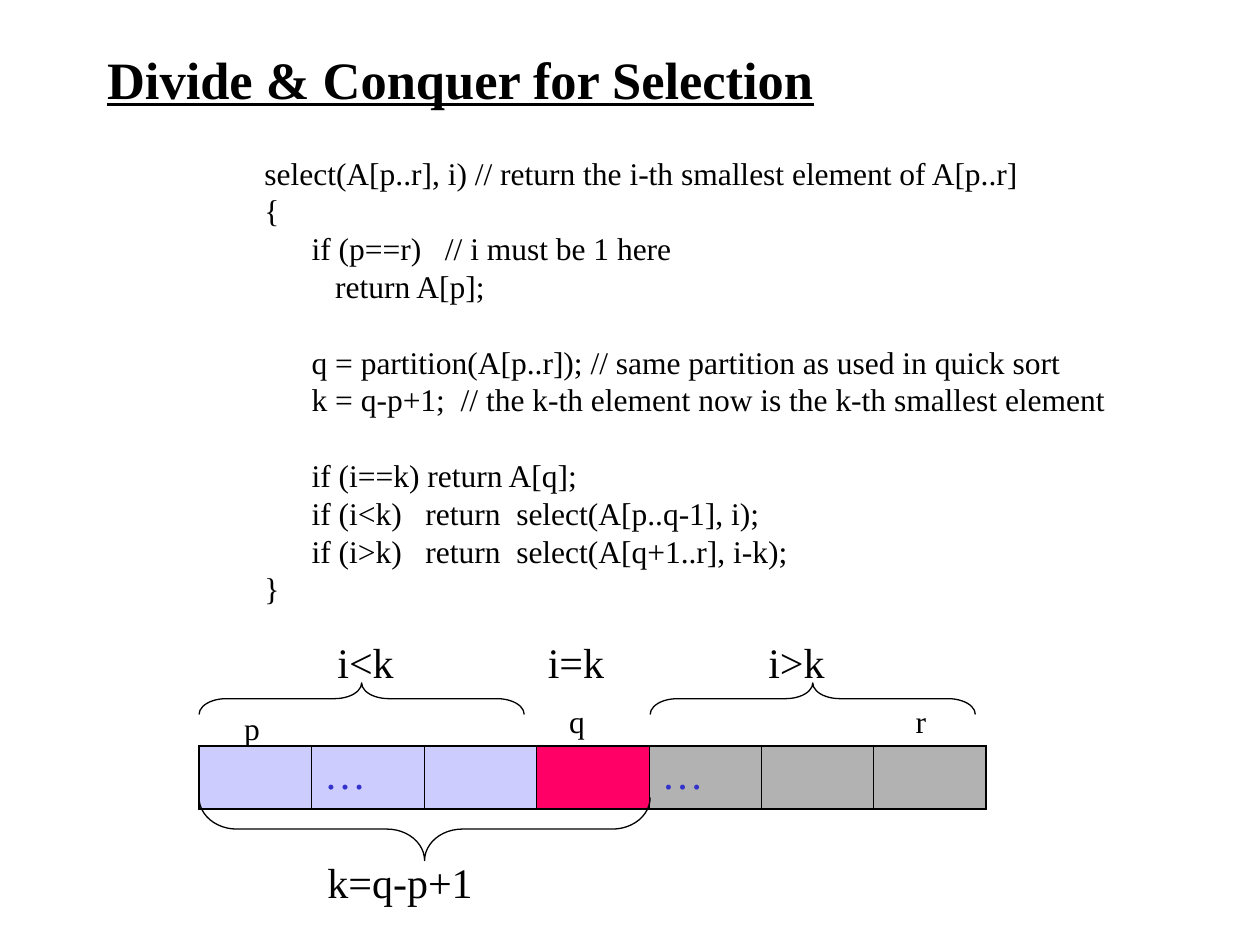
from collections import namedtuple

from lxml import etree
from pptx import Presentation
from pptx.dml.color import RGBColor
from pptx.enum.shapes import MSO_SHAPE
from pptx.enum.text import MSO_ANCHOR, MSO_AUTO_SIZE, PP_ALIGN
from pptx.oxml.ns import qn
from pptx.util import Inches, Pt

LEFT_BRACE = MSO_SHAPE.LEFT_BRACE
MIDDLE = MSO_ANCHOR.MIDDLE
NO_FIT = MSO_AUTO_SIZE.NONE
LEFT = PP_ALIGN.LEFT

Box = namedtuple("Box", "left top width height")
Theme = namedtuple(
    "Theme",
    "font ink accent smaller pivot larger title label code code_line "
    "outer_border inner_border brace_line",
)
THEME = Theme(
    font="Times New Roman", ink="000000", accent="3333CC",
    smaller="CCCCFF", pivot="FF0066", larger="B2B2B2",
    title=30, label=24, code=18, code_line=21.6,
    outer_border=1.08, inner_border=0.45, brace_line=0.75,
)

SLIDE_WIDTH, SLIDE_HEIGHT = 10, 7.5

CODE = """select(A[p..r], i) // return the i-th smallest element of A[p..r]
{
      if (p==r)   // i must be 1 here
         return A[p];

      q = partition(A[p..r]); // same partition as used in quick sort
      k = q-p+1;  // the k-th element now is the k-th smallest element

      if (i==k) return A[q];
      if (i<k)   return  select(A[p..q-1], i);
      if (i>k)   return  select(A[q+1..r], i-k);
}"""

CELL_FILLS = [THEME.smaller] * 3 + [THEME.pivot] + [THEME.larger] * 3
ELLIPSIS_COLUMNS = (1, 4)

# Text, size, then left, top and width in array columns and rows
LABELS = [
    ("p", THEME.code, 0.29, -0.68, 0.4),
    ("q", THEME.code, 3.18, -0.8, 0.4),
    ("r", THEME.code, 6.26, -0.8, 0.35),
    ("i<k", THEME.label, 1.12, -1.84, 0.77),
    ("i=k", THEME.label, 2.99, -1.84, 0.77),
    ("i>k", THEME.label, 4.95, -1.84, 0.77),
    ("k=q-p+1", THEME.label, 1.03, 1.66, 1.58),
]

# Left, top, width and height in columns and rows, rotation, curve
BRACES = [
    (0, -1, 2.89, 0.5, 90, 0.86),
    (4.01, -1, 2.89, 0.5, 90, 0.86),
    (0, 0.82, 4.01, 1, 270, 0.6),
]


def lengths(box):
    return [Inches(value) for value in box]


def format_text(paragraph, size, color=THEME.ink, **extra):
    values = {"name": THEME.font, "size": Pt(size), **extra}
    for name, value in values.items():
        setattr(paragraph.font, name, value)
    paragraph.font.color.rgb = RGBColor.from_string(color)


def add_text_box(slide, box):
    frame = slide.shapes.add_textbox(*lengths(box)).text_frame
    frame.word_wrap = True
    frame.auto_size = NO_FIT
    return frame


def place_title(slide, box):
    title = slide.shapes.title
    title.left, title.top, title.width, title.height = lengths(box)
    frame = title.text_frame
    frame.text = "Divide & Conquer for Selection"
    frame.vertical_anchor = MIDDLE
    frame.auto_size = NO_FIT
    paragraph = frame.paragraphs[0]
    paragraph.alignment = LEFT
    format_text(paragraph, THEME.title, bold=True, underline=True)


def add_code(slide, box):
    frame = add_text_box(slide, box)
    paragraph = frame.paragraphs[0]
    for block_index, block in enumerate(CODE.split("\n\n")):
        for line_index, line in enumerate(block.split("\n")):
            if block_index or line_index:
                paragraph = frame.add_paragraph()
            paragraph.text = line
            paragraph.line_spacing = Pt(THEME.code_line)
            if block_index and not line_index:
                paragraph.space_before = Pt(THEME.code_line)
            format_text(paragraph, THEME.code)


def set_borders(cell, widths):
    """Draw cell borders; widths maps the side tag to points."""
    properties = cell._tc.get_or_add_tcPr()
    for position, (tag, width) in enumerate(widths.items()):
        line = etree.Element(qn(f"a:{tag}"), w=str(int(Pt(width))))
        fill = etree.SubElement(line, qn("a:solidFill"))
        etree.SubElement(fill, qn("a:srgbClr"), val=THEME.ink)
        properties.insert(position, line)


def add_array(slide, box):
    count = len(CELL_FILLS)
    table = slide.shapes.add_table(1, count, *lengths(box)).table
    for column, color in enumerate(CELL_FILLS):
        table.columns[column].width = Inches(box.width / count)
        cell = table.cell(0, column)
        cell.fill.solid()
        cell.fill.fore_color.rgb = RGBColor.from_string(color)
        paragraph = cell.text_frame.paragraphs[0]
        if column in ELLIPSIS_COLUMNS:
            paragraph.text = "…"
        format_text(paragraph, THEME.label, THEME.accent, bold=False)
        outer, inner = THEME.outer_border, THEME.inner_border
        set_borders(cell, {
            "lnL": outer if column == 0 else inner,
            "lnR": outer if column == count - 1 else inner,
            "lnT": outer,
            "lnB": outer,
        })


def add_brace(slide, box, rotation, curve):
    """Lay a brace on its side so that it fills the wide box."""
    upright = Box(box.left + (box.width - box.height) / 2,
                  box.top + (box.height - box.width) / 2,
                  box.height, box.width)
    brace = slide.shapes.add_shape(LEFT_BRACE, *lengths(upright))
    brace.rotation = rotation
    brace.adjustments[0] = curve
    brace.shadow.inherit = False
    brace.fill.background()
    brace.line.color.rgb = RGBColor.from_string(THEME.ink)
    brace.line.width = Pt(THEME.brace_line)


def add_diagram(slide, box):
    """Array with its index labels and braces; box is the array's."""
    column_width = box.width / len(CELL_FILLS)

    def grid(left, top, width, height):
        return Box(box.left + left * column_width,
                   box.top + top * box.height,
                   width * column_width, height * box.height)

    add_array(slide, box)
    for *cells, rotation, curve in BRACES:
        add_brace(slide, grid(*cells), rotation, curve)
    for text, size, left, top, width in LABELS:
        height = 1 if size == THEME.label else 0.8
        frame = add_text_box(slide, grid(left, top, width, height))
        frame.text = text
        format_text(frame.paragraphs[0], size)


def main():
    presentation = Presentation()
    presentation.slide_width = Inches(SLIDE_WIDTH)
    presentation.slide_height = Inches(SLIDE_HEIGHT)
    slide = presentation.slides.add_slide(presentation.slide_layouts[5])
    place_title(slide, Box(0.75, 0.33, 6.75, 0.58))
    add_diagram(slide, Box(1.58, 5.92, 6.25, 0.5))
    add_code(slide, Box(2, 1.17, 6.95, 3.7))
    presentation.save("out.pptx")


if __name__ == "__main__":
    main()
